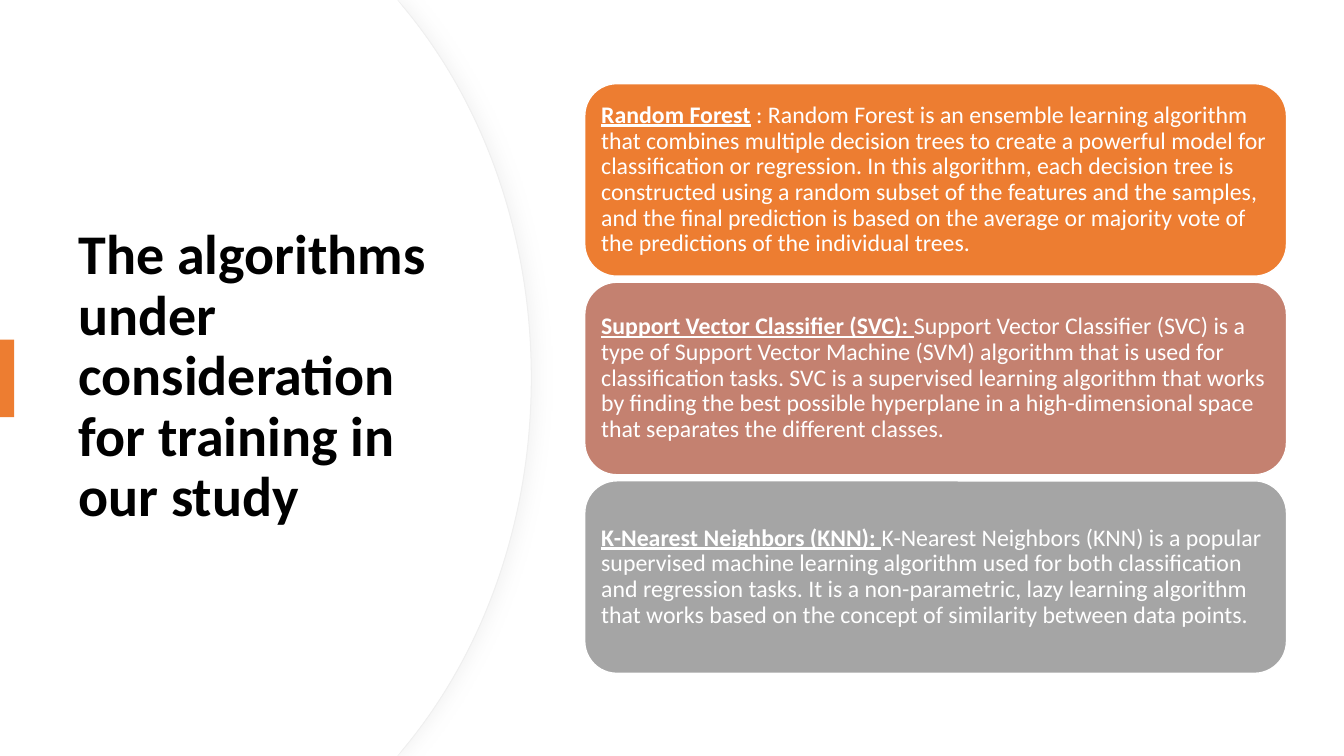
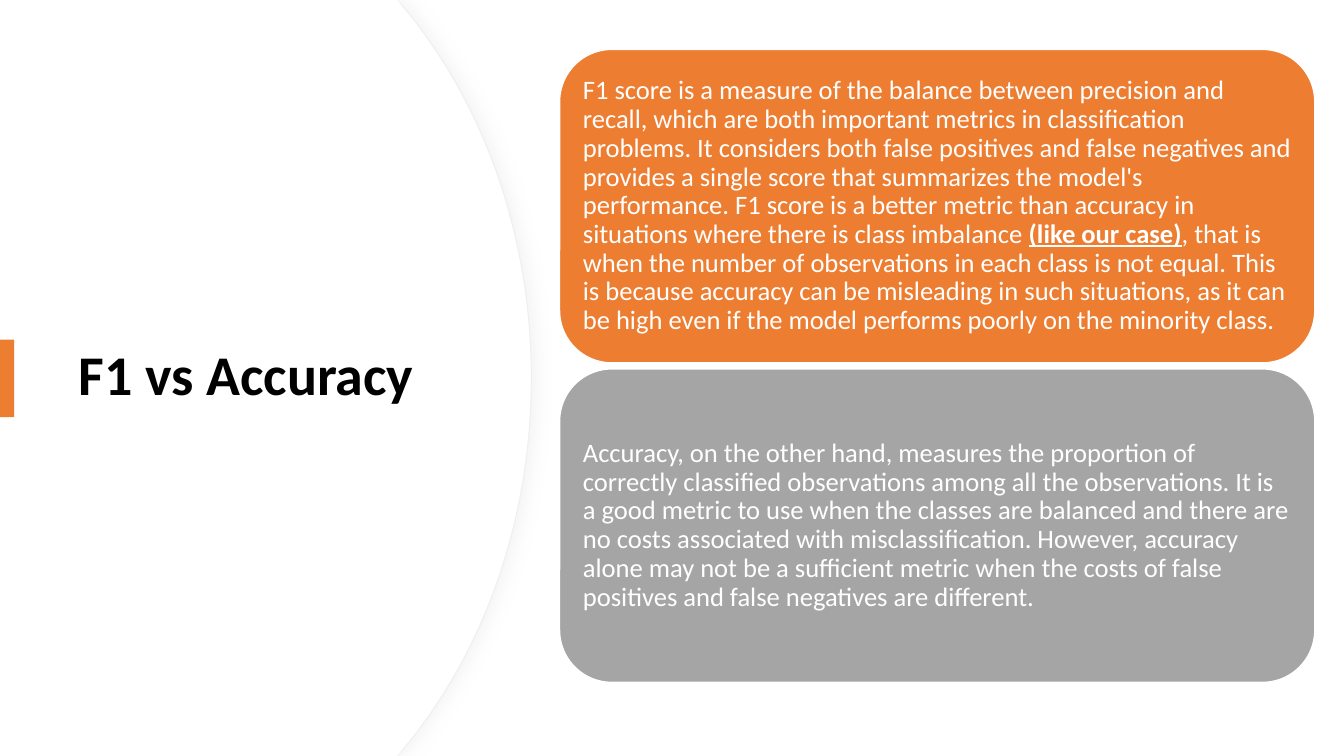
import pptx
import pptx.dml.color
import pptx.enum.shapes
import pptx.enum.text
import pptx.oxml
import pptx.oxml.ns
import pptx.util

Inches, Pt = pptx.util.Inches, pptx.util.Pt
FONT = "Calibri"
WHITE, BLACK, ORANGE, ROSE, GREY = "FFFFFF", "000000", "ED7D31", "C48170", "A5A5A5"
EDGE, SHADOW = "EFEFEF", "D9D9D9"
SLIDE_WIDTH, SLIDE_HEIGHT = 13.33, 7.5
TITLE_AREA = (0.68, 1.27, 3.94, 4.95)
ACCENT_AREA = (0, 3.37, 0.14, 0.77)

# Each card is (fill, runs); each run is (text, emphasised).
SLIDES = [
    {
        "title": "The algorithms under consideration for training in our study",
        "first_card": (5.8, 0.83, 6.96, 1.91), "pitch": 1.97, "size": 17, "inset": 0.07,
        "cards": [
            (ORANGE, [
                ("Random Forest", True),
                (" : Random Forest is an ensemble learning algorithm that combines multiple "
                 "decision trees to create a powerful model for classification or regression. "
                 "In this algorithm, each decision tree is constructed using a random subset of "
                 "the features and the samples, and the final prediction is based on the average "
                 "or majority vote of the predictions of the individual trees.", False)]),
            (ROSE, [
                ("Support Vector Classifier (SVC): ", True),
                ("Support Vector Classifier (SVC) is a type of Support Vector Machine (SVM) "
                 "algorithm that is used for classification tasks. SVC is a supervised learning "
                 "algorithm that works by finding the best possible hyperplane in a "
                 "high-dimensional space that separates the different classes.", False)]),
            (GREY, [
                ("K-Nearest Neighbors (KNN): ", True),
                ("K-Nearest Neighbors (KNN) is a popular supervised machine learning algorithm "
                 "used for both classification and regression tasks. It is a non-parametric, "
                 "lazy learning algorithm that works based on the concept of similarity between "
                 "data points.", False)]),
        ],
    },
    {
        "title": "F1 vs Accuracy",
        "first_card": (5.55, 0.49, 7.49, 3.11), "pitch": 3.17, "size": 19, "inset": 0.08,
        "cards": [
            (ORANGE, [
                ("F1 score is a measure of the balance between precision and recall, which are "
                 "both important metrics in classification problems. It considers both false "
                 "positives and false negatives and provides a single score that summarizes the "
                 "model's performance. F1 score is a better metric than accuracy in situations "
                 "where there is class imbalance ", False),
                ("(like our case)", True),
                (", that is when the number of observations in each class is not equal. This is "
                 "because accuracy can be misleading in such situations, as it can be high even "
                 "if the model performs poorly on the minority class.", False)]),
            (GREY, [
                ("Accuracy, on the other hand, measures the proportion of correctly classified "
                 "observations among all the observations. It is a good metric to use when the "
                 "classes are balanced and there are no costs associated with "
                 "misclassification. However, accuracy alone may not be a sufficient metric "
                 "when the costs of false positives and false negatives are different.", False)]),
        ],
    },
]


def rgb(color):
    return pptx.dml.color.RGBColor.from_string(color)


def paint(shape, fill, line=None, line_width=1):
    shape.shadow.inherit = False
    shape.fill.solid()
    shape.fill.fore_color.rgb = rgb(fill)
    if line:
        shape.line.color.rgb = rgb(line)
        shape.line.width = Pt(line_width)
    else:
        shape.line.fill.background()


def write(shape, runs, size, color):
    """Fill the shape with one left-aligned paragraph of (text, bold, underline) runs."""
    frame = shape.text_frame
    frame.word_wrap = True
    frame.auto_size = pptx.enum.text.MSO_AUTO_SIZE.NONE
    frame.vertical_anchor = pptx.enum.text.MSO_ANCHOR.MIDDLE
    para = frame.paragraphs[0]
    para.alignment = pptx.enum.text.PP_ALIGN.LEFT
    para.line_spacing = 0.9
    for text, bold, underline in runs:
        span = para.add_run()
        span.text = text
        font = span.font
        font.name, font.size, font.bold, font.underline = FONT, Pt(size), bold, underline
        font.color.rgb = rgb(color)


def add_curved_panel(page, right):
    """Draw a panel from the left slide edge whose right side bulges out to `right`."""
    upper = [(3.94, 0), (right - 1.26, 0.08), (right - 0.48, 1.02), (right, 2.32)]
    lower = [(x, SLIDE_HEIGHT - y) for x, y in reversed(upper)]
    outline = upper + [(right, SLIDE_HEIGHT / 2)] + lower + [(0, SLIDE_HEIGHT)]
    builder = page.shapes.build_freeform(0, 0)
    builder.add_line_segments([(Inches(x), Inches(y)) for x, y in outline], close=True)
    panel = builder.convert_to_shape()
    # Lines 2-4 and 5-7 hold the control and end points of the two curves.
    lines = list(panel._element.iter(pptx.oxml.ns.qn("a:lnTo")))
    for start in (2, 5):
        curve = lines[start].makeelement(pptx.oxml.ns.qn("a:cubicBezTo"))
        lines[start].addprevious(curve)
        for line in lines[start:start + 3]:
            curve.append(line[0])
            line.getparent().remove(line)
    return panel


def add_shadow(shape):
    effects = shape._element.spPr.find(pptx.oxml.ns.qn("a:effectLst"))
    effects.append(pptx.oxml.parse_xml(
        f'<a:outerShdw {pptx.oxml.ns.nsdecls("a")} blurRad="{Pt(12)}" dist="{Pt(3)}" dir="0">'
        f'<a:srgbClr val="{SHADOW}"><a:alpha val="30000"/></a:srgbClr></a:outerShdw>'))


def add_title_side(page, title_text):
    """Draw the curved panel, the title over it and the accent at the slide edge."""
    edge_panel = add_curved_panel(page, 5.27)
    paint(edge_panel, WHITE, EDGE, 0.75)
    add_shadow(edge_panel)
    front_panel = add_curved_panel(page, 5.26)
    paint(front_panel, WHITE)
    title = page.shapes.title
    title.left, title.top, title.width, title.height = map(Inches, TITLE_AREA)
    write(title, [(title_text, True, False)], 40, BLACK)
    front_panel._element.addnext(title._element)
    accent = page.shapes.add_shape(pptx.enum.shapes.MSO_SHAPE.RECTANGLE,
                                   *map(Inches, ACCENT_AREA))
    paint(accent, ORANGE)


def add_cards(page, content):
    left, top, width, height = content["first_card"]
    for row, (fill, runs) in enumerate(content["cards"]):
        card = page.shapes.add_shape(
            pptx.enum.shapes.MSO_SHAPE.ROUNDED_RECTANGLE,
            *map(Inches, (left, top + row * content["pitch"], width, height)))
        paint(card, fill, WHITE)
        frame = card.text_frame
        frame.margin_left = frame.margin_right = Inches(content["inset"])
        frame.margin_top = frame.margin_bottom = Inches(content["inset"])
        write(card, [(text, strong, strong) for text, strong in runs], content["size"], WHITE)


def main():
    deck = pptx.Presentation()
    deck.slide_width, deck.slide_height = Inches(SLIDE_WIDTH), Inches(SLIDE_HEIGHT)
    layout = deck.slide_layouts.get_by_name("Title Only")
    for content in SLIDES:
        page = deck.slides.add_slide(layout)
        add_title_side(page, content["title"])
        add_cards(page, content)
    deck.save("out.pptx")


if __name__ == "__main__":
    main()
